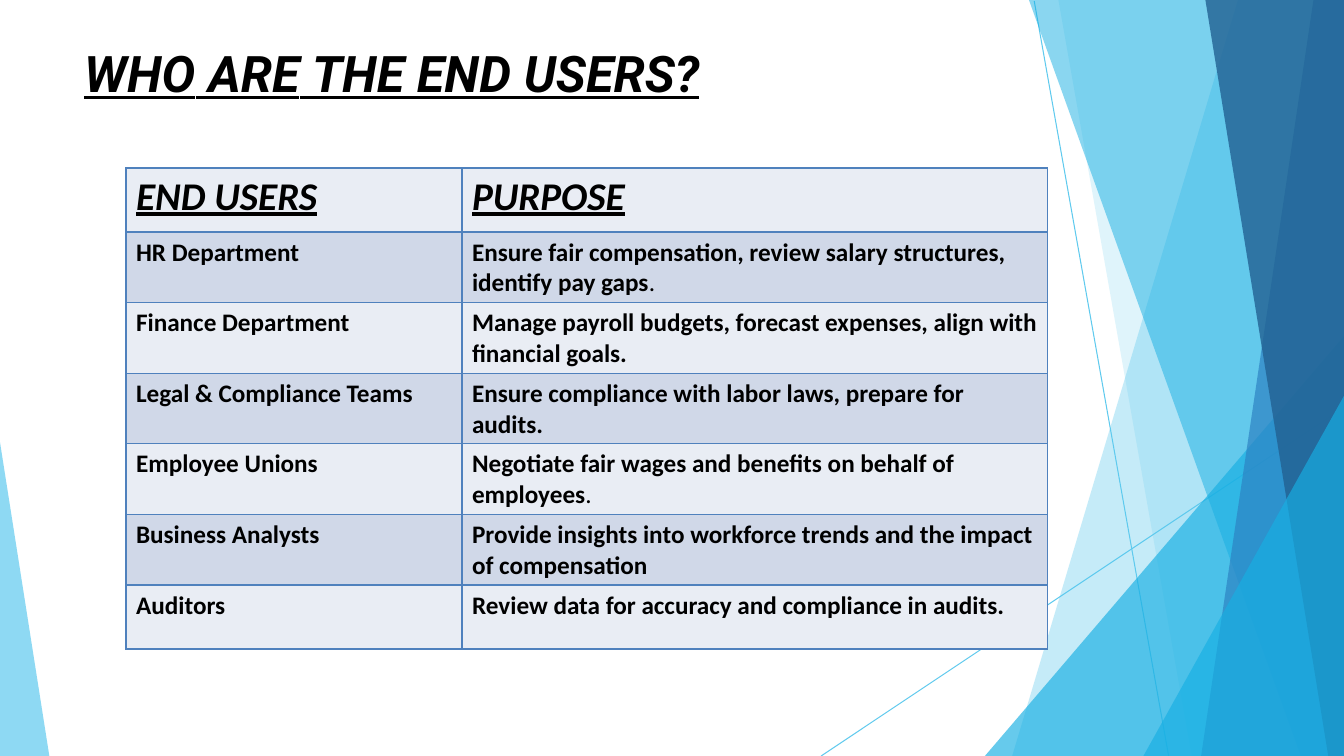
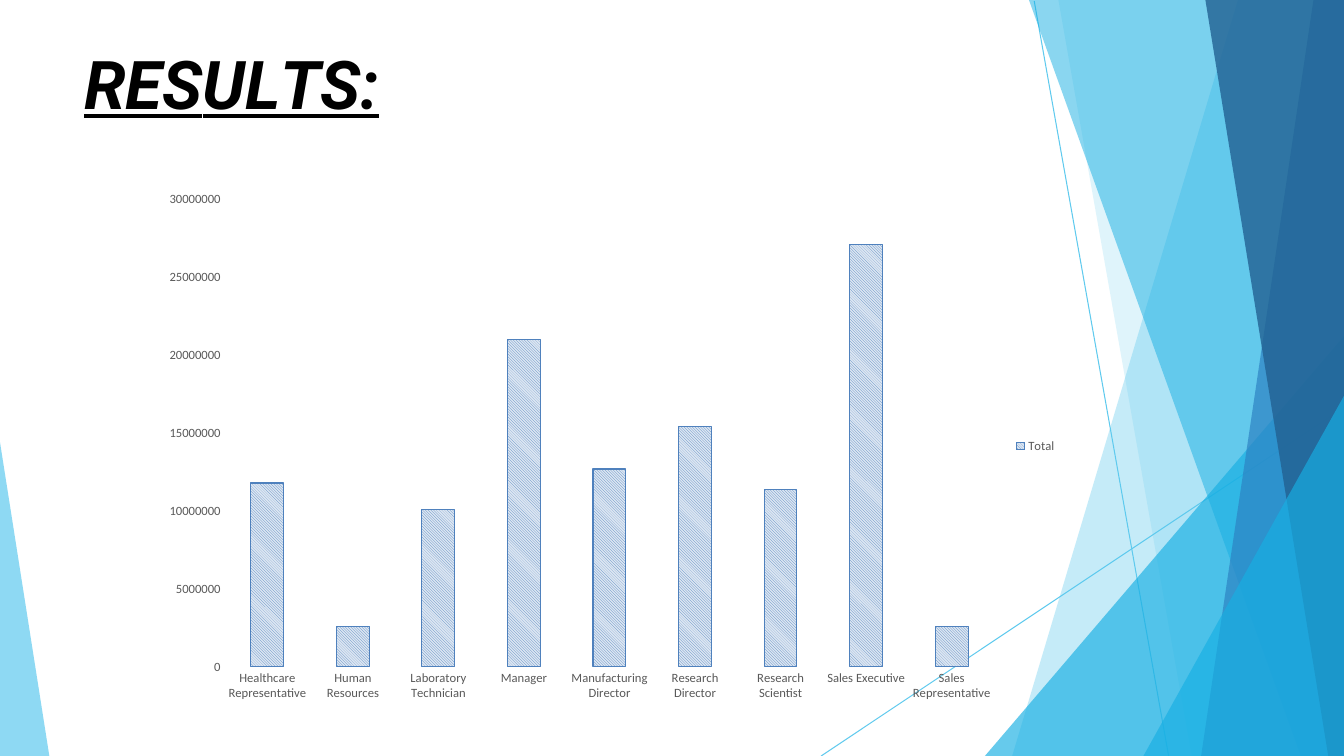
"""Build two slides on payroll analysis: the end-user table and the results chart."""
from dataclasses import dataclass
from typing import NamedTuple

from lxml import etree
from pptx import Presentation
from pptx import util as u
from pptx.chart import data as chart_data
from pptx.dml.color import RGBColor
from pptx.enum import chart as chart_enum, dml, shapes, text
from pptx.oxml import ns

PX = 9525
WIDTH, HEIGHT = 1280, 720


@dataclass(frozen=True)
class Theme:
    black: str = "000000"
    grey: str = "595959"
    sky: str = "5FCAEE"
    cyan: str = "17AFE3"
    blue: str = "2D83C3"
    navy: str = "226192"
    accent: str = "4F81BD"
    accent_pale: str = "DCE6F2"
    row_light: str = "E9EDF4"
    row_dark: str = "D0D8E8"
    title_font: str = "Roboto"
    body_font: str = "Calibri"
    header_size: int = 28
    body_size: int = 18
    chart_size: int = 10
    label_size: int = 9


THEME = Theme()


class Box(NamedTuple):
    left: int
    top: int
    width: int
    height: int

    def emu(self) -> list[int]:
        return [px(value) for value in self]


class Facet(NamedTuple):
    points: list[tuple[int, int]]
    color: str
    opacity: int


class Ray(NamedTuple):
    start: tuple[int, int]
    end: tuple[int, int]


class Spaced(NamedTuple):
    text: str
    spacing: float = 0


class EndUser(NamedTuple):
    name: str
    purpose: str
    plain_ending: str = ""


def right_facet(top_left: tuple[int, int], bottom: int, color: str, opacity: int) -> Facet:
    corners = [(WIDTH, top_left[1]), top_left, (bottom, HEIGHT), (WIDTH, HEIGHT)]
    return Facet(corners, color, opacity)


def corner_facet(top: int, bottom: int, color: str, opacity: int) -> Facet:
    return Facet([(WIDTH, top), (bottom, HEIGHT), (WIDTH, HEIGHT)], color, opacity)


RAYS = [Ray((985, 1), (1113, HEIGHT)), Ray((WIDTH, 388), (782, HEIGHT))]
FACETS = [
    right_facet((1179, 0), 964, THEME.sky, 36),
    right_facet((1008, 0), 1135, THEME.sky, 20),
    corner_facet(320, 938, THEME.cyan, 66),
    right_facet((980, 0), 1239, THEME.cyan, 50),
    right_facet((1251, 0), 1144, THEME.blue, 70),
    right_facet((1148, 0), 1265, THEME.navy, 80),
    corner_facet(377, 1089, THEME.cyan, 66),
    Facet([(0, 421), (0, HEIGHT), (47, HEIGHT)], THEME.sky, 70),
]

USERS_TITLE = [
    Spaced("W", 0.2), Spaced("H", -0.2), Spaced("O", 0.2), Spaced(" ", -2.4),
    Spaced("AR", -0.1), Spaced("E", 0.1), Spaced(" ", -0.3), Spaced("TH", -0.1),
    Spaced("E", 0.1), Spaced(" ", -0.3), Spaced("E", -0.2), Spaced("N", 0.3),
    Spaced("D", 0.1), Spaced(" ", -0.5), Spaced("U"), Spaced("S", 0.1),
    Spaced("E", -0.2), Spaced("R", -0.1), Spaced("S?", 0.1),
]
RESULTS_TITLE = [
    Spaced("R"), Spaced("E", -0.4), Spaced("S", 0.1), Spaced("U", -0.3),
    Spaced("L", -4), Spaced("TS:"),
]

END_USERS = [
    EndUser("HR Department",
            "Ensure fair compensation, review salary structures, identify pay gaps", "."),
    EndUser("Finance Department",
            "Manage payroll budgets, forecast expenses, align with financial goals."),
    EndUser("Legal & Compliance Teams",
            "Ensure compliance with labor laws, prepare for audits."),
    EndUser("Employee Unions",
            "Negotiate fair wages and benefits on behalf of employees", "."),
    EndUser("Business Analysts",
            "Provide insights into workforce trends and the impact of compensation"),
    EndUser("Auditors", "Review data for accuracy and compliance in audits."),
]

SALARY_TOTALS = {
    "Healthcare Representative": 11800000,
    "Human Resources": 2600000,
    "Laboratory Technician": 10100000,
    "Manager": 21000000,
    "Manufacturing Director": 12700000,
    "Research Director": 15400000,
    "Research Scientist": 11400000,
    "Sales Executive": 27100000,
    "Sales Representative": 2600000,
}


def px(value: int) -> int:
    return u.Emu(value * PX)


def rgb(color: str) -> RGBColor:
    return RGBColor.from_string(color)


def style_font(font, name: str, size: int, color: str, bold=False, fancy=False) -> None:
    font.name, font.size, font.bold = name, u.Pt(size), bold
    font.italic = font.underline = fancy
    font.color.rgb = rgb(color)


def add_ray(slide, ray: Ray):
    connector = slide.shapes.add_connector(
        shapes.MSO_CONNECTOR.STRAIGHT, *map(px, ray.start + ray.end))
    connector.line.color.rgb = rgb(THEME.sky)
    connector.line.width = u.Pt(0.75)
    etree.SubElement(connector.element.spPr, ns.qn("a:effectLst"))
    return connector


def add_facet(slide, facet: Facet):
    builder = slide.shapes.build_freeform(*facet.points[0], scale=PX)
    builder.add_line_segments(facet.points[1:], close=True)
    shape = builder.convert_to_shape()
    shape.shadow.inherit = False
    shape.line.fill.background()
    shape.fill.solid()
    shape.fill.fore_color.rgb = rgb(facet.color)
    color = next(shape.element.spPr.iter(ns.qn("a:srgbClr")))
    etree.SubElement(color, ns.qn("a:alpha"), val=str(facet.opacity * 1000))
    return shape


def move_backdrop_to_layout(slide) -> None:
    """Draw the rays and facets once and hand them to the shared layout."""
    tree = slide.slide_layout.shapes.element
    drawn = [add_ray(slide, ray) for ray in RAYS]
    drawn += [add_facet(slide, facet) for facet in FACETS]
    for shape in drawn:
        tree.append(shape.element)
    for number, properties in enumerate(tree.iter(ns.qn("p:cNvPr")), 1):
        properties.set("id", str(number))


def add_title(slide, pieces: list[Spaced], size: int, width: int) -> None:
    title = slide.shapes.title
    title.left, title.top, title.width, title.height = Box(80, 40, width, 80).emu()
    frame = title.text_frame
    frame.margin_left = frame.margin_top = frame.margin_right = frame.margin_bottom = 0
    frame.vertical_anchor = text.MSO_ANCHOR.TOP
    frame.auto_size = text.MSO_AUTO_SIZE.SHAPE_TO_FIT_TEXT
    frame.word_wrap = True
    paragraph = frame.paragraphs[0]
    paragraph.alignment = text.PP_ALIGN.LEFT
    for piece in pieces:
        run = paragraph.add_run()
        run.text = piece.text
        style_font(run.font, THEME.title_font, size, THEME.black, bold=True, fancy=True)
        run.font._element.set("spc", str(round(piece.spacing * 100)))


def add_borders(cell) -> None:
    properties = cell._tc.get_or_add_tcPr()
    for side in ("lnL", "lnR", "lnT", "lnB"):
        line = etree.SubElement(properties, ns.qn(f"a:{side}"), w=str(u.Pt(1)))
        fill = etree.SubElement(line, ns.qn("a:solidFill"))
        etree.SubElement(fill, ns.qn("a:srgbClr"), val=THEME.accent)


def fill_cell(cell, color: str, wording: str, plain_ending: str, header: bool) -> None:
    add_borders(cell)
    cell.fill.solid()
    cell.fill.fore_color.rgb = rgb(color)
    size = THEME.header_size if header else THEME.body_size
    paragraph = cell.text_frame.paragraphs[0]
    for part, bold in ((wording, True), (plain_ending, False)):
        if part:
            run = paragraph.add_run()
            run.text = part
            style_font(run.font, THEME.body_font, size, THEME.black, bold, header)


def add_user_table(slide, box: Box, column_widths: tuple[int, int]) -> None:
    rows = [EndUser("END USERS", "PURPOSE"), *END_USERS]
    table = slide.shapes.add_table(len(rows), 2, *box.emu()).table
    table.first_row = table.horz_banding = False
    for column, width in zip(table.columns, column_widths):
        column.width = px(width)
    for index, user in enumerate(rows):
        color = THEME.row_dark if index % 2 else THEME.row_light
        fill_cell(table.cell(index, 0), color, user.name, "", index == 0)
        fill_cell(table.cell(index, 1), color, user.purpose, user.plain_ending, index == 0)


def style_axis(axis) -> None:
    axis.has_major_gridlines = False
    axis.major_tick_mark = axis.minor_tick_mark = chart_enum.XL_TICK_MARK.NONE
    axis.format.line.fill.background()
    style_font(axis.tick_labels.font, THEME.body_font, THEME.label_size, THEME.grey)


def add_salary_chart(slide, box: Box) -> None:
    source = chart_data.CategoryChartData(number_format="General")
    source.categories = list(SALARY_TOTALS)
    source.add_series("Total", list(SALARY_TOTALS.values()))
    chart = slide.shapes.add_chart(
        chart_enum.XL_CHART_TYPE.COLUMN_CLUSTERED, *box.emu(), source).chart
    chart.has_title = False
    style_font(chart.font, THEME.body_font, THEME.chart_size, THEME.black)
    for axis in (chart.category_axis, chart.value_axis):
        style_axis(axis)
    chart.value_axis.minimum_scale = 0
    chart.value_axis.maximum_scale = 30000000
    chart.value_axis.major_unit = 5000000
    chart.has_legend = True
    chart.legend.position = chart_enum.XL_LEGEND_POSITION.RIGHT
    chart.legend.include_in_layout = False
    style_font(chart.legend.font, THEME.body_font, THEME.label_size, THEME.grey)
    plot = chart.plots[0]
    plot.gap_width = 160
    plot.vary_by_categories = False
    columns = plot.series[0].format
    columns.fill.patterned()
    columns.fill.pattern = dml.MSO_PATTERN.LIGHT_DOWNWARD_DIAGONAL
    columns.fill.fore_color.rgb = rgb(THEME.accent)
    columns.fill.back_color.rgb = rgb(THEME.accent_pale)
    columns.line.color.rgb = rgb(THEME.accent)
    columns.line.width = u.Pt(0.75)


def main() -> None:
    presentation = Presentation()
    presentation.slide_width, presentation.slide_height = px(WIDTH), px(HEIGHT)
    layout = presentation.slide_layouts.get_by_name("Title Only")

    users_slide = presentation.slides.add_slide(layout)
    move_backdrop_to_layout(users_slide)
    add_title(users_slide, USERS_TITLE, 36, 976)
    add_user_table(users_slide, Box(120, 160, 878, 427), (320, 558))

    results_slide = presentation.slides.add_slide(layout)
    add_title(results_slide, RESULTS_TITLE, 48, 1121)
    add_salary_chart(results_slide, Box(144, 173, 872, 504))

    presentation.save("out.pptx")


if __name__ == "__main__":
    main()
